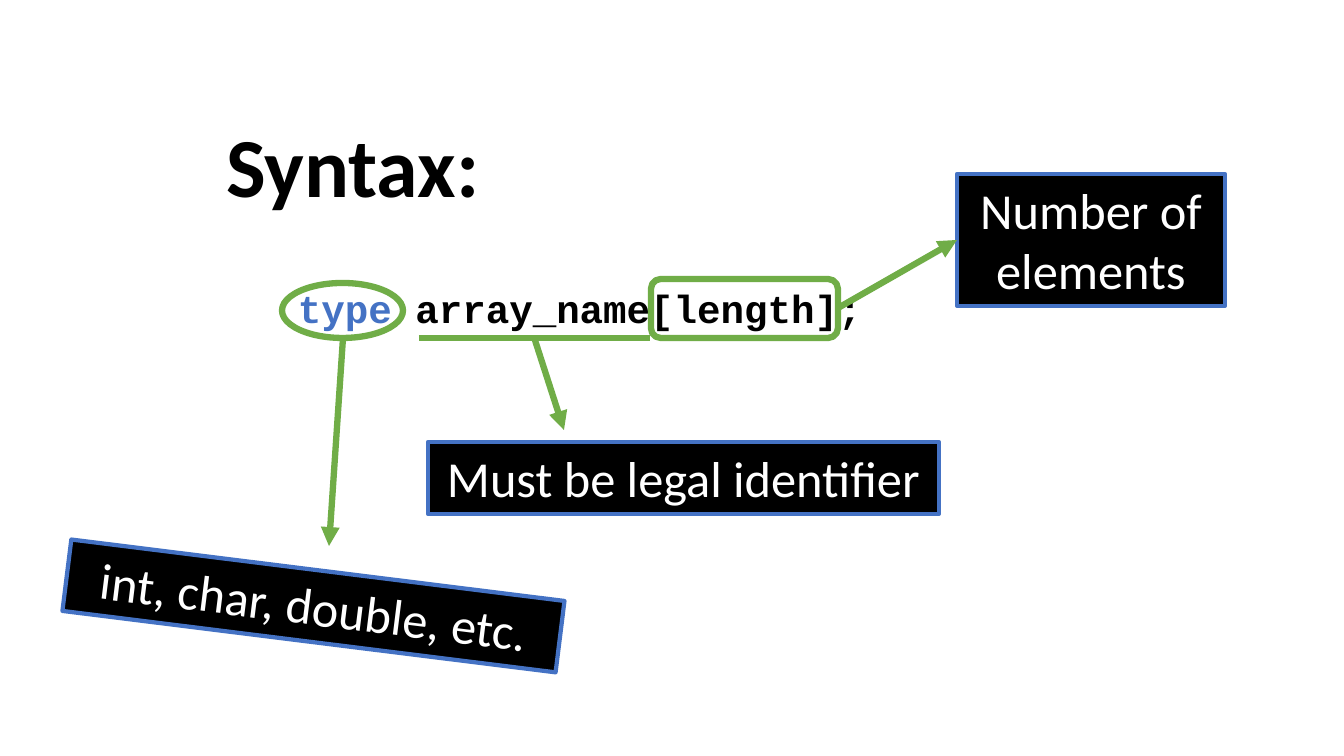
import pptx
import pptx.dml.color
import pptx.enum.dml
import pptx.enum.shapes
import pptx.enum.text
import pptx.oxml
import pptx.oxml.ns
import pptx.util

EMU_PER_PX = 914400 / 100.8
COLORS = {"ink": "000000", "paper": "FFFFFF", "blue": "4472C4", "green": "70AD47"}
SHAPES = pptx.enum.shapes.MSO_SHAPE
ALIGN = pptx.enum.text.PP_ALIGN


def px(length):
    return pptx.util.Emu(round(length * EMU_PER_PX))


def color(name):
    return pptx.dml.color.RGBColor.from_string(COLORS[name])


def add_span(para, text, size=36, font="Calibri", ink="ink", bold=False):
    span = para.add_run()
    span.text = text
    span.font.size = pptx.util.Pt(size)
    span.font.name = font
    span.font.bold = bold
    span.font.color.rgb = color(ink)


class SyntaxPage:
    """Holds the line style and the current slide."""

    mark_width = pptx.util.Pt(4.5)
    label_width = pptx.util.Pt(3)

    def __init__(self, deck):
        self.page = deck.slides.add_slide(deck.slide_layouts[5])

    def frame(self, box, align=ALIGN.LEFT):
        frame = box.text_frame
        frame.word_wrap = True
        frame.auto_size = pptx.enum.text.MSO_AUTO_SIZE.NONE
        frame.vertical_anchor = pptx.enum.text.MSO_ANCHOR.TOP
        para = frame.paragraphs[0]
        para.alignment = align
        return para

    def title(self, text, left, top, width, height):
        box = self.page.shapes.title
        box.left, box.top, box.width, box.height = map(px, (left, top, width, height))
        add_span(self.frame(box), text, size=60, bold=True)

    def code(self, spans, left, top, width, height):
        box = self.page.shapes.add_textbox(*map(px, (left, top, width, height)))
        para = self.frame(box)
        for text, ink in spans:
            add_span(para, text, size=28, font="Courier New", ink=ink, bold=True)

    def shape(self, kind, place, line, width):
        box = self.page.shapes.add_shape(kind, *map(px, place))
        box.shadow.inherit = False
        box.fill.background()
        box.line.color.rgb = color(line)
        box.line.width = width
        return box

    def mark(self, kind, *place):
        self.shape(kind, place, "green", self.mark_width)

    def label(self, text, *place, rotation=0):
        box = self.shape(SHAPES.RECTANGLE, place, "blue", self.label_width)
        box.fill.solid()
        box.fill.fore_color.rgb = color("ink")
        box.rotation = rotation
        add_span(self.frame(box, ALIGN.CENTER), text, ink="paper")

    def line(self, start, end, arrow=True):
        line = self.page.shapes.add_connector(
            pptx.enum.shapes.MSO_CONNECTOR.STRAIGHT, *map(px, start + end))
        line.line.color.rgb = color("green")
        line.line.width = self.mark_width
        if arrow:
            tail = pptx.oxml.parse_xml(
                f'<a:tailEnd {pptx.oxml.ns.nsdecls("a")} type="triangle"/>')
            line.line._get_or_add_ln().append(tail)
        line._element.spPr.append(pptx.oxml.parse_xml(
            f'<a:effectLst {pptx.oxml.ns.nsdecls("a")}/>'))


def main():
    deck = pptx.Presentation()
    deck.slide_width, deck.slide_height = px(1344), px(756)
    syntax = SyntaxPage(deck)

    # Heading and declaration
    syntax.title("Syntax:", 216, 108, 936, 112)
    syntax.code([("type ", "blue"), ("array_name[length];", "ink")], 288, 279, 688, 57)

    # Type
    syntax.label("int, char, double, etc.", 65, 570, 497, 72, rotation=7.1)
    syntax.mark(SHAPES.OVAL, 282, 283, 121, 55)
    syntax.line((343, 338), (329, 546))

    # Array name
    syntax.label("Must be legal identifier", 428, 442, 511, 72)
    syntax.line((419, 338), (650, 338), arrow=False)
    syntax.line((534, 337), (564, 430))

    # Length
    syntax.mark(SHAPES.ROUNDED_RECTANGLE, 651, 279, 187, 59)
    syntax.label("Number of elements", 957, 174, 268, 132)
    syntax.line((838, 308), (957, 240))

    deck.save("out.pptx")


if __name__ == "__main__":
    main()
